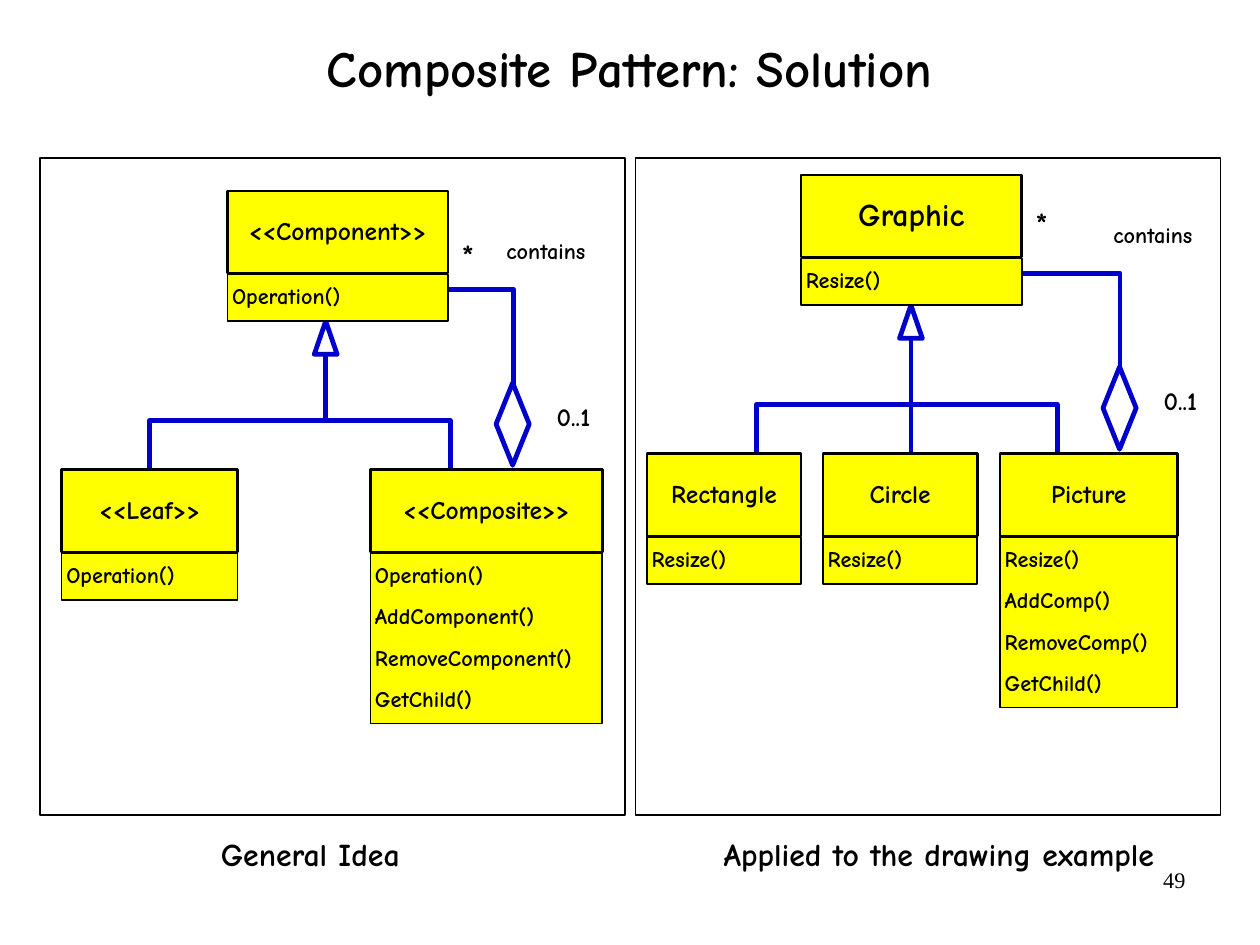
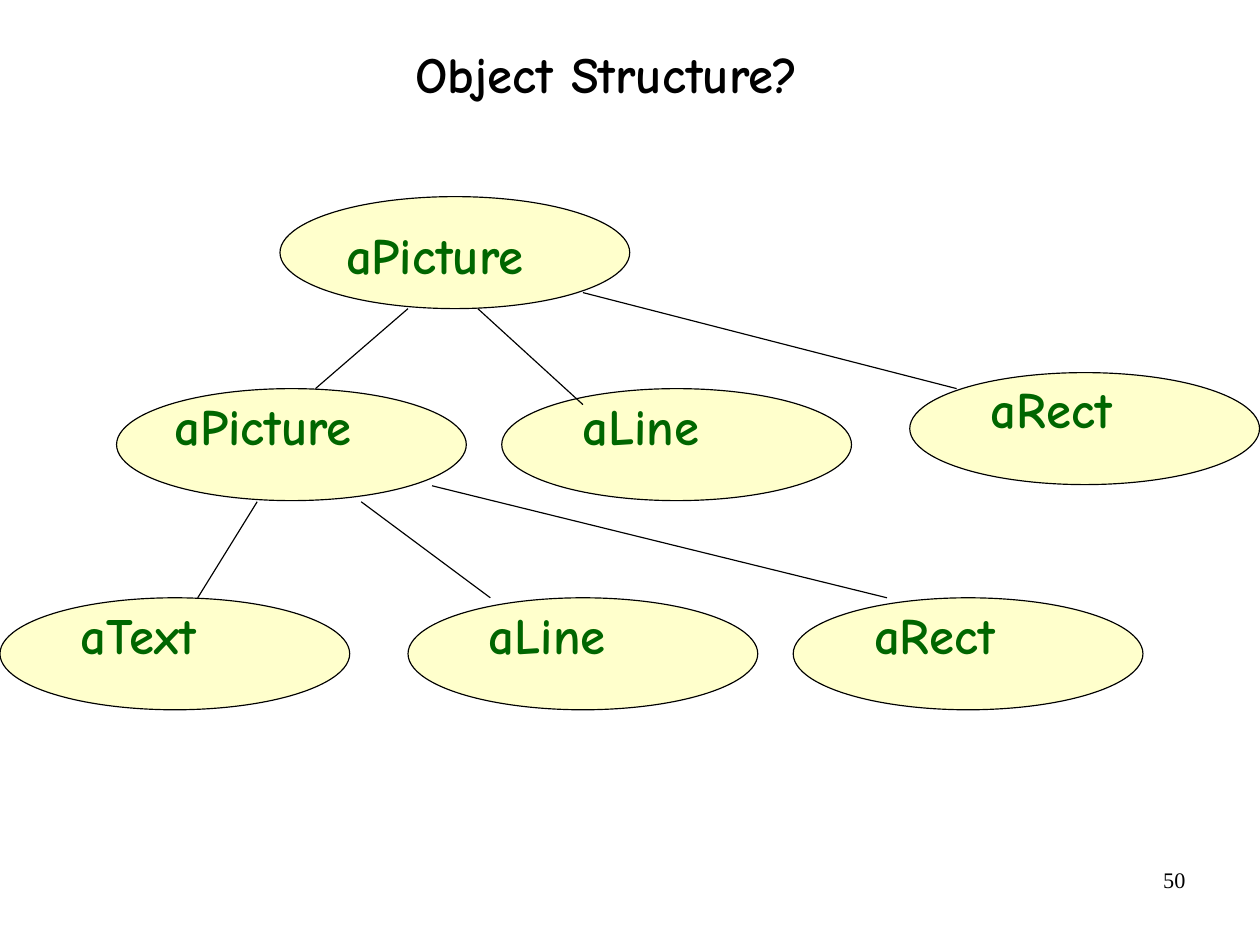
import pptx
import pptx.util
import pptx.dml.color
import pptx.enum.shapes
import pptx.enum.text
import pptx.oxml.ns
from lxml import etree

Inches = pptx.util.Inches
Pt = pptx.util.Pt
SHAPE = pptx.enum.shapes.MSO_SHAPE
ALIGN = pptx.enum.text.PP_ALIGN
ANCHOR = pptx.enum.text.MSO_ANCHOR

INK = {"black": "000000", "white": "FFFFFF", "blue": "0000CC",
       "yellow": "FFFF00", "cream": "FFFFCC", "green": "006600"}
FONT = "Comic Neue"
CM = 1 / 2.54
HEAD_H, ROW_H, ROW_GAP = 0.72, 0.41, 0.36
NODE_W, NODE_H = 3.06, 0.98
KIDS_Y, BUS_Y, TIP_Y, LINK_Y = 2.44, 2.01, 1.14, 0.86


def tint(name):
    return pptx.dml.color.RGBColor.from_string(INK[name])


def paint(shape, fill, line, width):
    shape.shadow.inherit = False
    if fill:
        shape.fill.solid()
        shape.fill.fore_color.rgb = tint(fill)
    else:
        shape.fill.background()
    shape.line.color.rgb = tint(line)
    shape.line.width = Pt(width)
    return shape


def write(shape, text, size, color="black", align=ALIGN.LEFT, anchor=ANCHOR.TOP,
          inset=(0, 0), font=FONT, bold=True, wrap=True, space=0.9, after=0):
    frame = shape.text_frame
    frame.text = text
    frame.word_wrap = wrap
    frame.auto_size = pptx.enum.text.MSO_AUTO_SIZE.NONE
    frame.vertical_anchor = anchor
    frame.margin_left = frame.margin_right = Inches(inset[0])
    frame.margin_top = frame.margin_bottom = Inches(inset[1])
    for para in frame.paragraphs:
        para.alignment = align
        para.line_spacing = space
        para.space_before = Pt(0)
        para.space_after = Pt(after)
        for run in para.runs:
            run.font.name = font
            run.font.size = Pt(size)
            run.font.bold = bold
            run.font.color.rgb = tint(color)


def add_shape(slide, kind, box, fill, line, width):
    shape = slide.shapes.add_shape(kind, *map(Inches, box))
    return paint(shape, fill, line, width)


def add_text(slide, box, text, size, **style):
    write(slide.shapes.add_textbox(*map(Inches, box)), text, size, **style)


def add_line(slide, start, end, color, width):
    line = slide.shapes.add_connector(
        pptx.enum.shapes.MSO_CONNECTOR.STRAIGHT, *map(Inches, (*start, *end)))
    line.line.color.rgb = tint(color)
    line.line.width = Pt(width)
    etree.SubElement(line.element.spPr, pptx.oxml.ns.qn("a:effectLst"))


def add_outline(slide, points, fill=None, close=False):
    first, *rest = [(Inches(x), Inches(y)) for x, y in points]
    form = slide.shapes.build_freeform(*first)
    form.add_line_segments(rest, close=close)
    paint(form.convert_to_shape(), fill, "blue", 3)


def add_slide(deck, title, number, box, anchor):
    slide = deck.slides.add_slide(deck.slide_layouts[5])
    head = slide.shapes.title
    head.left, head.top, head.width, head.height = map(Inches, box)
    write(head, title, 32, align=ALIGN.CENTER, anchor=anchor, space=0.88)
    add_text(slide, (7.9, 7.53, 2.57, 0.57), str(number), 14, align=ALIGN.RIGHT,
             inset=(0.1, 0.05), font="Times New Roman", bold=False, space=1)
    return slide


def class_box(slide, x, y, width, name, methods, size=16):
    head = add_shape(slide, SHAPE.RECTANGLE, (x, y, width, HEAD_H),
                     "yellow", "black", 1.64)
    write(head, name, size, align=ALIGN.CENTER, anchor=ANCHOR.MIDDLE,
          inset=(0.1, 0.05))
    height = ROW_H + ROW_GAP * (len(methods) - 1)
    body = add_shape(slide, SHAPE.RECTANGLE, (x, y + HEAD_H + 0.01, width, height),
                     "yellow", "black", 1)
    write(body, "\n".join(methods), 14, anchor=ANCHOR.MIDDLE,
          inset=(0.04, 0.1), after=10.9)


def class_panel(slide, left, top, plan):
    """Draw one framed class diagram; plan offsets count from the panel's corner."""
    y = top + plan["top"]
    root_x, root_w, name, methods, size = plan["root"]
    edge = left + root_x + root_w
    kids_y, bus_y, tip_y = y + KIDS_Y, y + BUS_Y, y + TIP_Y
    bus_x, stem_x, link_x = (left + plan[key] for key in ("bus", "stem", "link"))
    bus_end = bus_x + 2.63

    add_outline(slide, [(bus_x, kids_y), (bus_x, bus_y),
                        (bus_end, bus_y), (bus_end, kids_y)])
    stem_end = kids_y if plan["middle"] else bus_y
    add_line(slide, (stem_x, stem_end), (stem_x, tip_y + 0.29), "blue", 3)
    add_outline(slide, [(stem_x, tip_y), (stem_x + 0.1, tip_y + 0.29),
                        (stem_x - 0.1, tip_y + 0.29)], "white", True)
    add_outline(slide, [(edge, y + LINK_Y), (link_x, y + LINK_Y),
                        (link_x, y + 1.7)])
    add_shape(slide, SHAPE.DIAMOND, (link_x - 0.15, y + 1.68, 0.29, HEAD_H),
              None, "blue", 3)

    for box, text, pts in (
            ((edge + 0.12, y + plan["star"], 0.11, 0.3), "*", 20),
            ((link_x - 0.06, y + 0.43, 0.7, 0.21), "contains", 14),
            ((link_x + 0.38, y + 1.87, 0.29, 0.24), "0..1", 16)):
        add_text(slide, box, text, pts, wrap=False)

    class_box(slide, left + root_x, y, root_w, name, methods, size)
    for x, width, name, methods in plan["kids"]:
        class_box(slide, left + x, kids_y, width, name, methods)
    add_shape(slide, SHAPE.RECTANGLE, (left, top, 5.12, 5.75), None, "black", 1)
    x, width, text = plan["caption"]
    add_text(slide, (left + x, top + 5.9, width, 0.41), text, 20,
             align=ALIGN.CENTER, inset=(0.11, 0.06))


def object_tree(slide, left, top, nodes, links):
    for x, y, name, shift_x, shift_y in nodes:
        x, y = left + x, top + y
        add_shape(slide, SHAPE.OVAL, (x, y, NODE_W, NODE_H),
                  "cream", "black", 0.75)
        add_text(slide, (x + shift_x, y + shift_y, 2.04, 0.64), name, 32,
                 color="green", inset=(0.1, 0.05), space=1)
    for x1, y1, x2, y2 in links:
        add_line(slide, (left + x1, top + y1), (left + x2, top + y2), "black", 0.75)


GENERAL = {
    "top": 0.29, "bus": 0.96, "stem": 2.5, "link": 4.14, "star": 0.43,
    "middle": False,
    "root": (1.64, 1.93, "<<Component>>", ["Operation()"], 16),
    "kids": [(0.19, 1.54, "<<Leaf>>", ["Operation()"]),
             (2.89, 2.03, "<<Composite>>", ["Operation()", "AddComponent()",
                                            "RemoveComponent()", "GetChild()"])],
    "caption": (1.06, 2.61, "General Idea"),
}
DRAWING = {
    "top": 0.15, "bus": 1.06, "stem": 2.41, "link": 4.24, "star": 0.29,
    "middle": True,
    "root": (1.45, 1.93, "Graphic", ["Resize()"], 20),
    "kids": [(0.1, 1.35, "Rectangle", ["Resize()"]),
             (1.64, 1.35, "Circle", ["Resize()"]),
             (3.19, 1.55, "Picture", ["Resize()", "AddComp()",
                                      "RemoveComp()", "GetChild()"])],
    "caption": (0.48, 4.35, "Applied to the drawing example"),
}
NODES = [
    (2.45, 0, "aPicture", 0.48, 0.19),
    (1.02, 1.68, "aPicture", 0.41, 0),
    (4.39, 1.68, "aLine", 0.61, 0),
    (7.96, 1.54, "aRect", 0.61, 0),
    (0, 3.51, "aText", 0.61, 0),
    (3.57, 3.51, "aLine", 0.61, 0),
    (6.94, 3.51, "aRect", 0.61, 0),
]
LINKS = [
    (3.57, 0.98, 2.76, 1.68), (4.18, 0.98, 5.1, 1.82), (5.1, 0.84, 8.37, 1.68),
    (2.25, 2.67, 1.73, 3.51), (3.16, 2.67, 4.29, 3.51), (3.78, 2.53, 7.76, 3.51),
]


def main():
    deck = pptx.Presentation()
    deck.slide_width = Inches(28 * CM)
    deck.slide_height = Inches(21 * CM)

    slide = add_slide(deck, "Composite Pattern: Solution", 49,
                      (0.81, 0.39, 9.4, 1.37), ANCHOR.TOP)
    class_panel(slide, 0.35, 1.38, GENERAL)
    class_panel(slide, 5.56, 1.38, DRAWING)

    slide = add_slide(deck, "Object Structure?", 50,
                      (0.61, -0.01, 9.4, 1.37), ANCHOR.MIDDLE)
    object_tree(slide, 0, 1.72, NODES, LINKS)
    deck.save("out.pptx")


if __name__ == "__main__":
    main()
